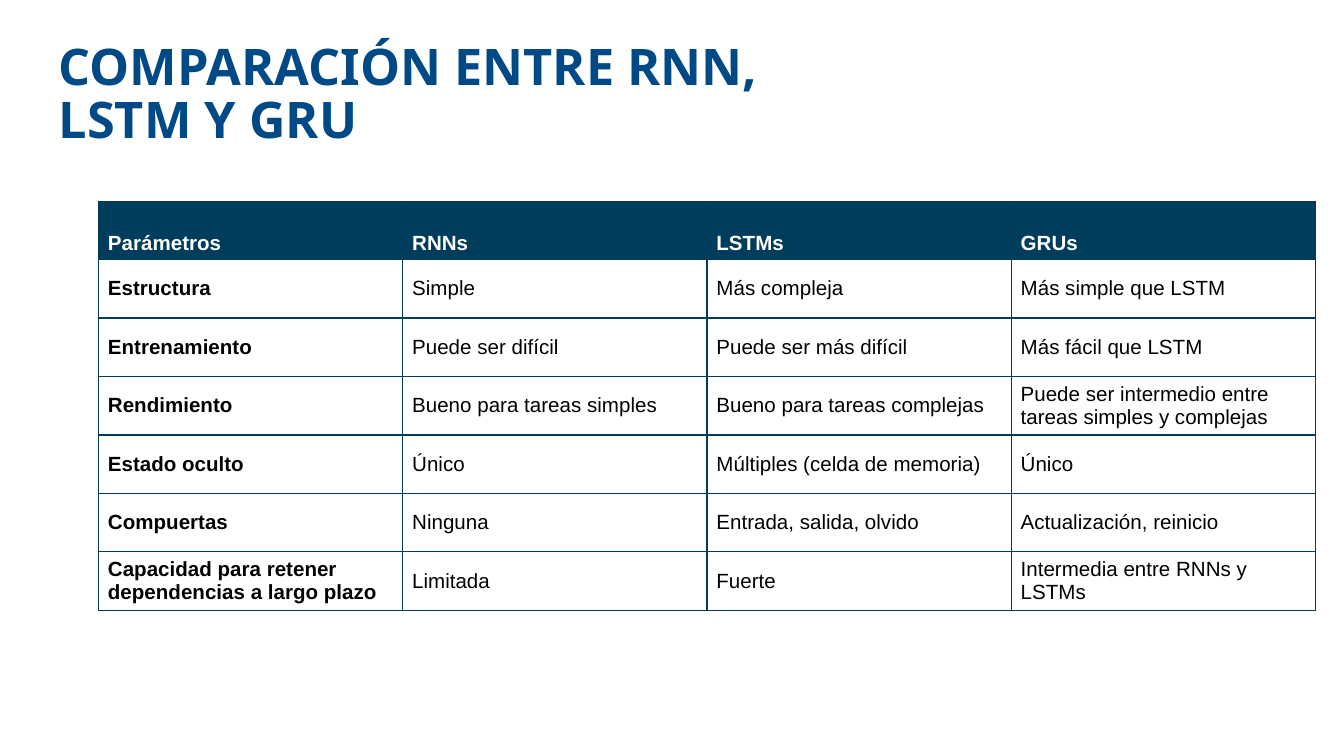
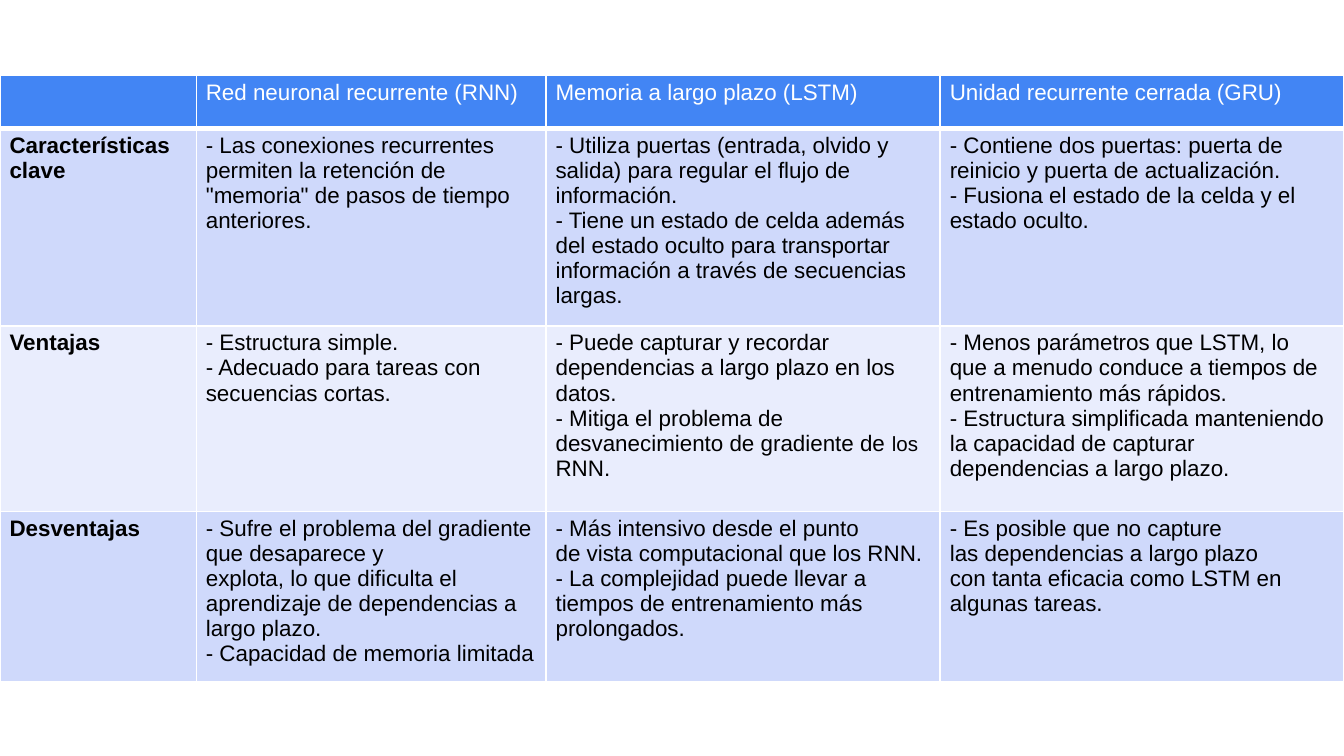
from lxml import etree
from pptx import Presentation
from pptx.dml.color import RGBColor
from pptx.enum.text import MSO_ANCHOR
from pptx.oxml.ns import qn
from pptx.util import Cm, Pt

TOP, MIDDLE, BOTTOM = MSO_ANCHOR.TOP, MSO_ANCHOR.MIDDLE, MSO_ANCHOR.BOTTOM
WHITE, BLACK, NAVY, TITLE_BLUE = "FFFFFF", "000000", "003D5C", "004987"
HEADER_BLUE, BAND_DARK, BAND_LIGHT = "4285F4", "CFD9FB", "E9EDFD"
SMALL = 11

TITLE = "COMPARACIÓN ENTRE RNN, LSTM Y GRU"

# Each cell is a list of paragraphs; a paragraph is a list of (text, size) spans
# or a plain string in the table's own size.
PARAMETERS = [
    [["Parámetros"], ["RNNs"], ["LSTMs"], ["GRUs"]],
    [["Estructura"], ["Simple"], ["Más compleja"], ["Más simple que LSTM"]],
    [["Entrenamiento"], ["Puede ser difícil"], ["Puede ser más difícil"],
     ["Más fácil que LSTM"]],
    [["Rendimiento"], ["Bueno para tareas simples"], ["Bueno para tareas complejas"],
     ["Puede ser intermedio entre tareas simples y complejas"]],
    [["Estado oculto"], ["Único"], ["Múltiples (celda de memoria)"], ["Único"]],
    [["Compuertas"], ["Ninguna"], ["Entrada, salida, olvido"],
     ["Actualización, reinicio"]],
    [["Capacidad para retener dependencias a largo plazo"], ["Limitada"], ["Fuerte"],
     ["Intermedia entre RNNs y LSTMs"]],
]

NETWORKS = [
    [[], ["Red neuronal recurrente (RNN)"], ["Memoria a largo plazo (LSTM)"],
     ["Unidad recurrente cerrada (GRU)"]],
    [["Características", "clave"],
     ["- Las conexiones recurrentes",
      'permiten la retención de "memoria" de pasos de tiempo',
      "anteriores."],
     ["- Utiliza puertas (entrada, olvido y salida) para regular el flujo de información.",
      "- Tiene un estado de celda además del estado oculto para transportar "
      "información a través de secuencias largas."],
     ["- Contiene dos puertas: puerta de reinicio y puerta de actualización.",
      "- Fusiona el estado de la celda y el estado oculto."]],
    [["Ventajas"],
     ["- Estructura simple.", "- Adecuado para tareas con secuencias cortas."],
     ["- Puede capturar y recordar",
      "dependencias a largo plazo en los datos.",
      [("- Mitiga el problema de desvanecimiento de gradiente de ", 12),
       ("los", SMALL), (" RNN.", 12)]],
     ["- Menos parámetros que LSTM, lo",
      "que a menudo conduce a tiempos de entrenamiento más rápidos.",
      "- Estructura simplificada manteniendo la capacidad de capturar "
      "dependencias a largo plazo."]],
    [["Desventajas"],
     ["- Sufre el problema del gradiente que desaparece y",
      "explota, lo que dificulta el aprendizaje de dependencias a largo plazo.",
      "- Capacidad de memoria limitada"],
     ["- Más intensivo desde el punto",
      "de vista computacional que los RNN.",
      "- La complejidad puede llevar a",
      "tiempos de entrenamiento más",
      "prolongados."],
     ["- Es posible que no capture",
      "las dependencias a largo plazo",
      "con tanta eficacia como LSTM en",
      "algunas tareas."]],
]

PARAMETERS_FORMAT = {
    "place": (1.86, 3.81), "columns": [5.75] * 4, "rows": [1.1] * 7,
    "size": 11, "header_fill": NAVY, "header_bold": True, "bands": [WHITE],
    "header_anchor": BOTTOM, "body_anchor": MIDDLE,
    "border": NAVY, "line": 0.75, "header_line": 0.75,
}
NETWORKS_FORMAT = {
    "place": (0, 1.43), "columns": [3.71, 6.61, 7.45, 7.63],
    "rows": [0.99, 3.51, 3.51, 3.09],
    "size": 12, "header_fill": HEADER_BLUE, "header_bold": False,
    "bands": [BAND_DARK, BAND_LIGHT],
    "header_anchor": TOP, "body_anchor": TOP,
    "border": WHITE, "line": 1, "header_line": 3,
}


def color(value):
    return RGBColor.from_string(value)


def add_span(para, text, size, ink, bold, name="Arial"):
    span = para.add_run()
    span.text = text
    for key, value in {"name": name, "size": Pt(size), "bold": bold}.items():
        setattr(span.font, key, value)
    span.font.color.rgb = color(ink)


def add_title(page, text):
    box = page.shapes.add_textbox(Cm(0.86), Cm(0.56), Cm(15.6), Cm(1.6))
    frame = box.text_frame
    inset = Cm(0.25)
    frame_format = {"word_wrap": True, "vertical_anchor": TOP,
                    "margin_left": inset, "margin_right": inset,
                    "margin_top": inset, "margin_bottom": inset}
    for key, value in frame_format.items():
        setattr(frame, key, value)
    para = frame.paragraphs[0]
    para.line_spacing = 0.88
    add_span(para, text, 27, TITLE_BLUE, True, "Noto Sans")


def add_borders(cell, ink, widths):
    """Draw the cell's edges; call before the fill is set, as the schema orders them."""
    properties = cell._tc.get_or_add_tcPr()
    for side, width in widths.items():
        line = etree.SubElement(properties, qn("a:ln" + side), w=str(Pt(width)))
        fill = etree.SubElement(line, qn("a:solidFill"))
        etree.SubElement(fill, qn("a:srgbClr"), val=ink)


def fill_cell(cell, paragraphs, size, ink, bold):
    frame = cell.text_frame
    for index, content in enumerate(paragraphs):
        para = frame.add_paragraph() if index else frame.paragraphs[0]
        spans = [(content, size)] if isinstance(content, str) else content
        for text, span_size in spans:
            add_span(para, text, span_size, ink, bold)


def add_comparison(page, content, style):
    left, top = style["place"]
    columns, rows = style["columns"], style["rows"]
    table = page.shapes.add_table(len(rows), len(columns), Cm(left), Cm(top),
                                  Cm(sum(columns)), Cm(sum(rows))).table
    table.first_row = table.horz_banding = False
    for column, width in zip(table.columns, columns):
        column.width = Cm(width)
    for row, height in zip(table.rows, rows):
        row.height = Cm(height)

    bands = style["bands"]
    for r, row in enumerate(content):
        header = r == 0
        fill = style["header_fill"] if header else bands[(r - 1) % len(bands)]
        widths = dict.fromkeys("LRTB", style["line"])
        if header:
            widths["B"] = style["header_line"]
        cell_format = {
            "margin_left": Cm(0.18), "margin_right": Cm(0.18),
            "margin_top": Cm(0.09), "margin_bottom": Cm(0.09),
            "vertical_anchor": style["header_anchor" if header else "body_anchor"],
        }
        for c, paragraphs in enumerate(row):
            cell = table.cell(r, c)
            add_borders(cell, style["border"], widths)
            cell.fill.solid()
            cell.fill.fore_color.rgb = color(fill)
            for key, value in cell_format.items():
                setattr(cell, key, value)
            bold = style["header_bold"] if header else c == 0
            fill_cell(cell, paragraphs, style["size"], WHITE if header else BLACK, bold)


def main():
    deck = Presentation()
    deck.slide_width, deck.slide_height = Cm(25.4), Cm(14.29)
    blank = deck.slide_layouts[6]

    page = deck.slides.add_slide(blank)
    add_title(page, TITLE)
    add_comparison(page, PARAMETERS, PARAMETERS_FORMAT)

    page = deck.slides.add_slide(blank)
    add_comparison(page, NETWORKS, NETWORKS_FORMAT)

    deck.save("out.pptx")


if __name__ == "__main__":
    main()
